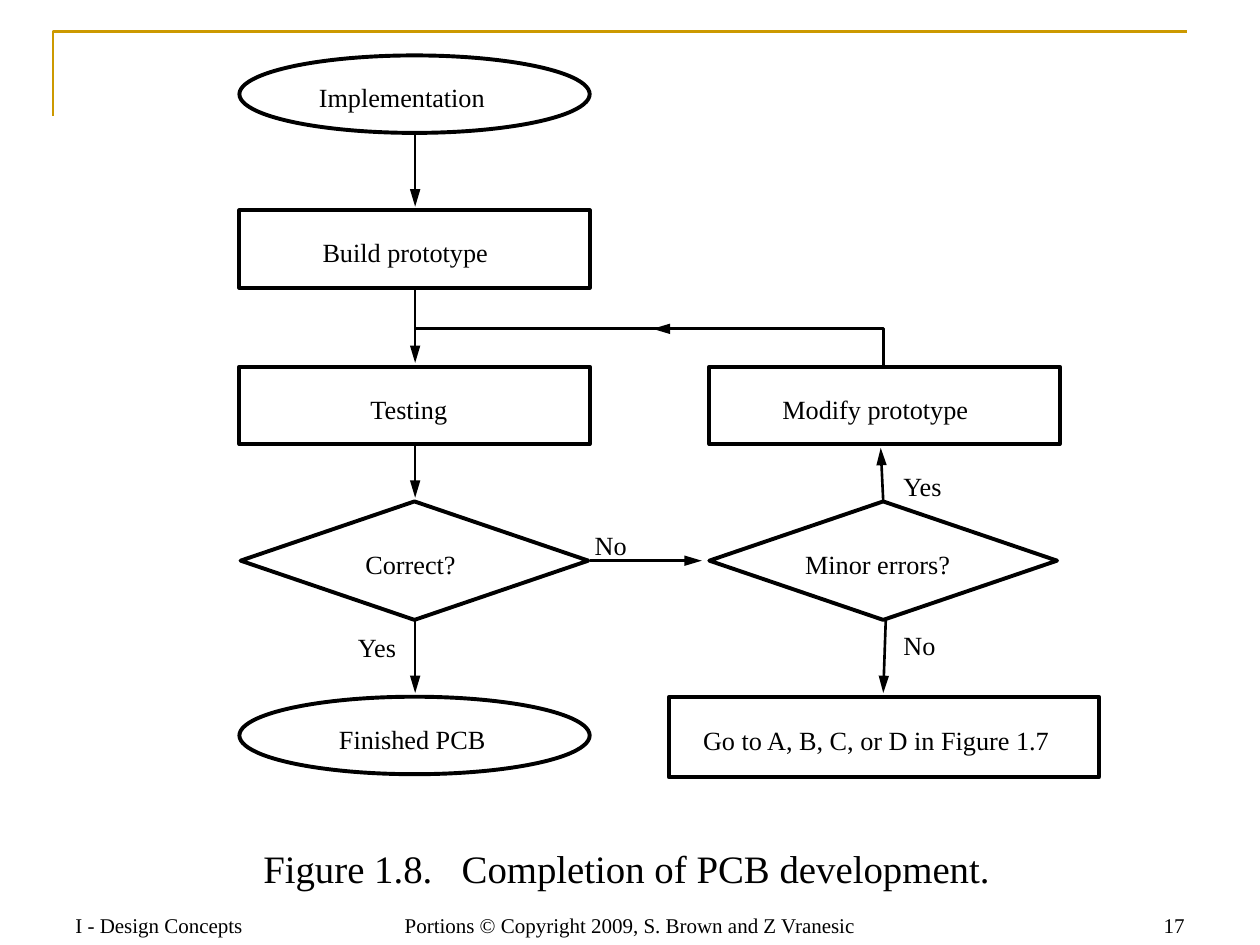
from dataclasses import dataclass

from lxml import etree
from pptx import Presentation
from pptx import util as u
from pptx.dml import color
from pptx.enum import shapes, text
from pptx.oxml import ns

COLUMNS, ROWS = 100, 75
CELL = u.Inches(0.1)
NODE = shapes.MSO_SHAPE
ALIGN = text.PP_ALIGN


@dataclass(frozen=True)
class Theme:
    font: str = "Times New Roman"
    ink: color.RGBColor = color.RGBColor(0, 0, 0)
    accent: color.RGBColor = color.RGBColor(0xCC, 0x99, 0)
    label: float = 15
    caption: float = 22.2
    footer: float = 12
    thin: float = 1.5
    thick: float = 2.25


THEME = Theme()


@dataclass(frozen=True)
class Box:
    left: float
    top: float
    width: float
    height: float

    def point(self, column, row):
        return round((self.left + column) * CELL), round((self.top + row) * CELL)

    def area(self, column, row, width, height):
        return *self.point(column, row), round(width * CELL), round(height * CELL)


def apply(target, values):
    for name, value in values.items():
        setattr(target, name, value)


def stroke(shape, ink, width):
    shape.line.color.rgb = ink
    shape.line.width = u.Pt(width)


def add_text(slide, area, runs, size, frame_format, paragraph_format):
    frame = slide.shapes.add_textbox(*area).text_frame
    apply(frame, {"word_wrap": True, **frame_format})
    paragraph = frame.paragraphs[0]
    apply(paragraph, paragraph_format)
    for content in runs:
        run = paragraph.add_run()
        run.text = content
        apply(run.font, {"name": THEME.font, "size": u.Pt(size)})
        run.font.color.rgb = THEME.ink
    return paragraph


def add_label(slide, box, content, column, row, width):
    tight = {f"margin_{side}": 0 for side in ("left", "top", "right", "bottom")}
    frame_format = {
        **tight,
        "word_wrap": False,
        "auto_size": text.MSO_AUTO_SIZE.SHAPE_TO_FIT_TEXT,
    }
    area = box.area(column, row, width, 2.5)
    add_text(slide, area, [content], THEME.label, frame_format, {})


def add_node(slide, box, kind, bounds, content, column, width):
    shape = slide.shapes.add_shape(kind, *box.area(*bounds))
    shape.shadow.inherit = False
    shape.fill.background()
    stroke(shape, THEME.ink, THEME.thick)
    middle = bounds[1] + bounds[3] / 2
    add_label(slide, box, content, column, middle - 1, width)


def add_arrow(slide, box, start, end):
    arrow = slide.shapes.add_connector(
        shapes.MSO_CONNECTOR.STRAIGHT, *box.point(*start), *box.point(*end)
    )
    stroke(arrow, THEME.ink, THEME.thin)
    outline = arrow.line._get_or_add_ln()
    etree.SubElement(outline, ns.qn("a:tailEnd"), type="triangle", w="med", len="lg")
    etree.SubElement(arrow._element.spPr, ns.qn("a:effectLst"))


def add_path(slide, box, points, ink):
    start, *rest = (box.point(*point) for point in points)
    builder = slide.shapes.build_freeform(*start)
    builder.add_line_segments(rest, close=False)
    shape = builder.convert_to_shape()
    shape.shadow.inherit = False
    shape.fill.background()
    stroke(shape, ink, THEME.thin)


def add_corner_rule(slide, box):
    points = [(0, box.height), (0, 0), (box.width, 0)]
    add_path(slide, box, points, THEME.accent)


def add_flowchart(slide, box):
    second = 37.3
    start, build, test, decide, finish = 0, 12.3, 24.7, 35.4, 50.9
    node_width, node_height, diamond_width, diamond_height = 27.8, 6.15, 27.6, 9.4
    spine, branch, merge = 13.95, 51.1, 21.7
    decide_middle = decide + diamond_height / 2
    decide_bottom = decide + diamond_height
    wide_left = box.width - 34.1

    plain = (node_width, node_height)
    diamond = (diamond_width, diamond_height)
    nodes = [
        (NODE.OVAL, (0, start, *plain), "Implementation", 6.3, 15.8),
        (NODE.RECTANGLE, (0, build, *plain), "Build prototype", 6.6, 15.2),
        (NODE.RECTANGLE, (0, test, *plain), "Testing", 10.4, 7.2),
        (NODE.DIAMOND, (0.1, decide, *diamond), "Correct?", 10, 8.1),
        (NODE.OVAL, (0, finish, *plain), "Finished PCB", 7.9, 12.7),
        (NODE.RECTANGLE, (second, test, *plain), "Modify prototype", 43.1, 17),
        (NODE.DIAMOND, (second, decide, *diamond), "Minor errors?", 44.9, 13.3),
        (NODE.RECTANGLE, (wide_left, finish, 34.1, 6.4),
         "Go to A, B, C, or D in Figure 1.7", 36.8, 30),
    ]
    for node in nodes:
        add_node(slide, box, *node)

    gap = 0.3
    stops = [
        (start + node_height, build),
        (build + node_height, test),
        (test + node_height, decide),
        (decide_bottom, finish),
    ]
    for top, bottom in stops:
        add_arrow(slide, box, (spine, top), (spine, bottom - gap))
    add_arrow(slide, box, (node_width, decide_middle), (second - 0.6, decide_middle))
    add_arrow(slide, box, (branch, decide), (branch - 0.2, test + node_height + gap))
    add_arrow(slide, box, (branch + 0.2, decide_bottom), (branch, finish - gap))

    loop = [(spine, merge), (branch, merge), (branch, test)]
    add_path(slide, box, loop, THEME.ink)
    add_arrow(slide, box, (branch, merge), (32.8, merge))

    answers = [
        ("No", 28.2, 37.6, 2.9),
        ("Yes", 9.4, 45.7, 3.4),
        ("Yes", 52.7, 32.9, 3.4),
        ("No", 52.7, 45.5, 2.9),
    ]
    for answer in answers:
        add_label(slide, box, *answer)


def add_caption(slide, box):
    paragraph = add_text(
        slide,
        box.area(0, 0, box.width, box.height),
        ["Figure 1.8.", " ", "Completion of PCB development."],
        THEME.caption,
        {},
        {"alignment": ALIGN.CENTER, "line_spacing": 0.9},
    )
    paragraph.runs[1].font._element.set("spc", "1100")


def add_footer(slide, box):
    side = 23.3
    centre = box.width - 2 * side
    parts = [
        (0, side, "I - Design Concepts", ALIGN.LEFT),
        (side, centre, "Portions © Copyright 2009, S. Brown and Z Vranesic", ALIGN.CENTER),
        (side + centre, side, "17", ALIGN.RIGHT),
    ]
    for column, width, content, alignment in parts:
        add_text(
            slide,
            box.area(column, 0, width, box.height),
            [content],
            THEME.footer,
            {"vertical_anchor": text.MSO_ANCHOR.BOTTOM},
            {"alignment": alignment},
        )


def main():
    presentation = Presentation()
    size = {"slide_width": COLUMNS * CELL, "slide_height": ROWS * CELL}
    apply(presentation, size)
    slide = presentation.slides.add_slide(presentation.slide_layouts[6])
    add_corner_rule(slide, Box(4.2, 2.5, 90, 6.7))
    add_footer(slide, Box(5, 69.9, 90, 5))
    add_caption(slide, Box(12.4, 67, 74.7, 5))
    add_flowchart(slide, Box(19, 4.4, 68.2, 57.3))
    presentation.save("out.pptx")


if __name__ == "__main__":
    main()
